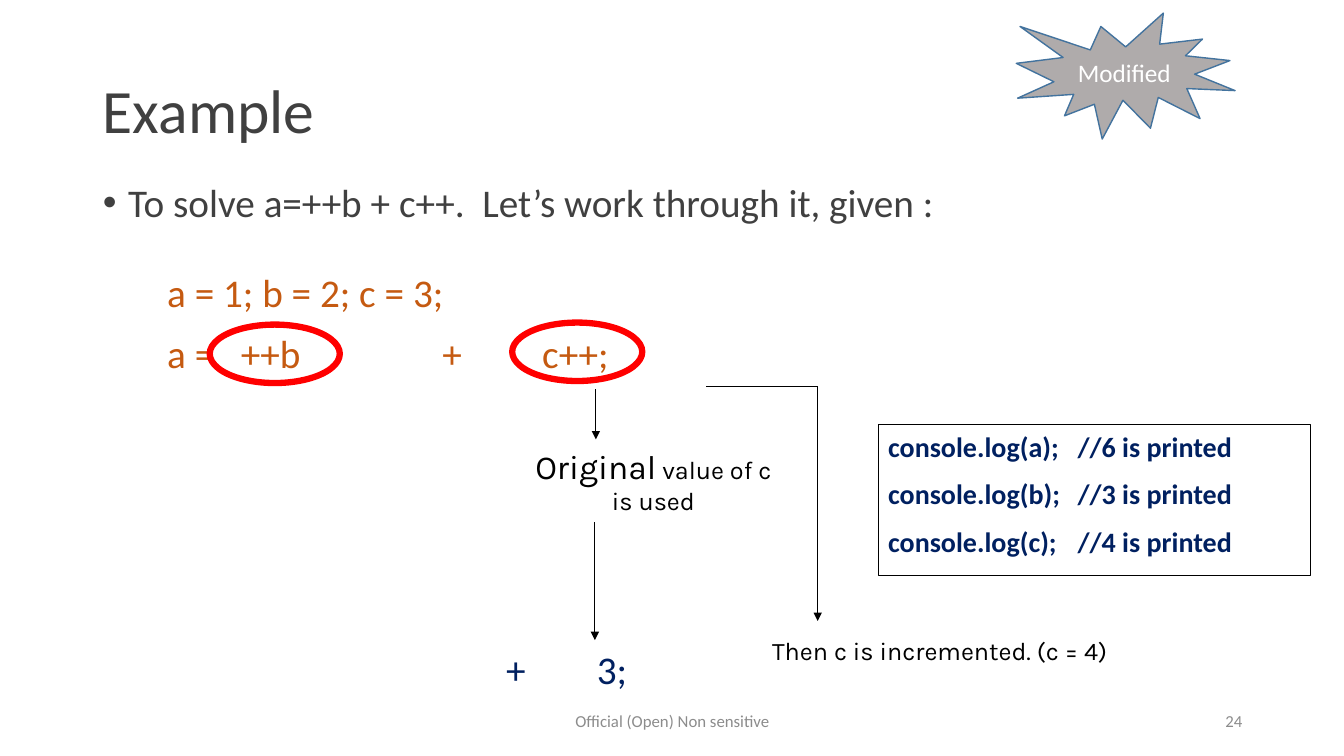
from dataclasses import dataclass

from lxml import etree
from pptx import Presentation, util as u
from pptx.dml.color import RGBColor
from pptx.enum import shapes, text
from pptx.oxml.ns import qn

GREY, FOOT, ORANGE, NAVY = "404040", "8C8C8C", "C55A11", "002060"
BLACK, WHITE, RED = "000000", "FFFFFF", "FF0000"
LEFT, CENTER, RIGHT = text.PP_ALIGN.LEFT, text.PP_ALIGN.CENTER, text.PP_ALIGN.RIGHT
TOP, MIDDLE = text.MSO_ANCHOR.TOP, text.MSO_ANCHOR.MIDDLE


@dataclass
class Style:
    size: float
    color: str
    font: str = "Calibri"
    bold: bool = False
    align: text.PP_ALIGN = LEFT
    anchor: text.MSO_ANCHOR = TOP
    tabs: tuple[float, ...] = ()


@dataclass
class Label:
    box: tuple[float, float, float, float]
    lines: list[str]
    style: Style
    inset: float = 0.1


@dataclass
class Line:
    start: tuple[float, float]
    end: tuple[float, float]
    arrow: bool = True


def rgb(code: str) -> RGBColor:
    return RGBColor.from_string(code)


def inches(values: tuple[float, ...]) -> list[u.Length]:
    return [u.Inches(v) for v in values]


def add_tabs(p, stops: tuple[float, ...]) -> None:
    tab_list = etree.SubElement(p._p.get_or_add_pPr(), qn("a:tabLst"))
    for stop in stops:
        etree.SubElement(tab_list, qn("a:tab"), pos=str(u.Inches(stop)), algn="l")


def write(tf, lines: list[str], style: Style) -> None:
    tf.word_wrap = True
    tf.auto_size = text.MSO_AUTO_SIZE.NONE
    tf.vertical_anchor = style.anchor
    tf.text = "\n".join(lines)
    for i, p in enumerate(tf.paragraphs):
        if style.tabs:
            add_tabs(p, style.tabs)
        p.alignment = style.align
        p.space_before = u.Pt(10 if i else 0)
        for r in p.runs:
            r.font.name = style.font
            r.font.size = u.Pt(style.size)
            r.font.bold = style.bold
            r.font.color.rgb = rgb(style.color)


def fill_placeholder(sp, label: Label) -> None:
    """Move a template placeholder and format its text."""
    sp.left, sp.top, sp.width, sp.height = inches(label.box)
    write(sp.text_frame, label.lines, label.style)
    for p in sp.text_frame.paragraphs:
        p.line_spacing = 0.9


def add_label(s, label: Label):
    sp = s.shapes.add_textbox(*inches(label.box))
    sp.text_frame.margin_left = u.Inches(label.inset)
    write(sp.text_frame, label.lines, label.style)
    return sp


def add_line(s, line: Line) -> None:
    sp = s.shapes.add_connector(shapes.MSO_CONNECTOR.STRAIGHT,
                                *inches(line.start + line.end))
    sp.line.color.rgb = rgb(BLACK)
    sp.line.width = u.Pt(0.75)
    if line.arrow:
        etree.SubElement(sp.line._get_or_add_ln(), qn("a:tailEnd"), type="triangle")
    etree.SubElement(sp._element.spPr, qn("a:effectLst"))


def add_shape(s, kind: shapes.MSO_SHAPE, box: tuple[float, float, float, float],
              line: str, width: float, fill: str | None = None):
    sp = s.shapes.add_shape(kind, *inches(box))
    sp.shadow.inherit = False
    if fill:
        sp.fill.solid()
        sp.fill.fore_color.rgb = rgb(fill)
    else:
        sp.fill.background()
    sp.line.color.rgb = rgb(line)
    sp.line.width = u.Pt(width)
    return sp


TITLE = Label((0.92, 0.4, 11.5, 1.45), ["Example"], Style(44, GREY, anchor=MIDDLE))
BODY = Label((0.92, 1.77, 11.5, 4.76),
             ["To solve a=++b + c++.  Let’s work through it, given :"], Style(28, GREY))
NOTE = Style(18, BLACK, "Karla")
ORIGINAL_VALUE = Label((5.14, 4.37, 2.68, 0.81), ["Original value of c is used"],
                       Style(18, BLACK, "Karla", align=CENTER))
LABELS = [
    Label((1.56, 2.61, 7.44, 1.58), ["a = 1; b = 2; c = 3;", "a =\t++b\t+\tc++;"],
          Style(28, ORANGE, tabs=(0.73, 2.73, 3.72))),
    Label((7.56, 6.25, 3.94, 0.4), ["Then c is incremented. (c = 4)"], NOTE),
    Label((4.83, 6.35, 2.54, 0.64), ["+\t3;"], Style(28, NAVY, tabs=(0.9,)), 0.19),
    Label((4.42, 6.95, 4.5, 0.4), ["Official (Open) Non sensitive"],
          Style(12, FOOT, align=CENTER, anchor=MIDDLE)),
    Label((9.42, 6.95, 3, 0.4), ["24"], Style(12, FOOT, align=RIGHT, anchor=MIDDLE)),
]
LINES = [
    Line((5.91, 3.86), (5.91, 4.36)),
    Line((5.9, 5.18), (5.9, 6.35)),
    Line((8.11, 3.83), (8.11, 6.16)),
    Line((8.11, 3.83), (7, 3.83), arrow=False),
]
OPERAND_RINGS = [(2.08, 3.22), (5.08, 3.2)]
RESULTS = {"a": 6, "b": 3, "c": 4}


def main() -> None:
    prs = Presentation()
    prs.slide_width, prs.slide_height = inches((13.33, 7.5))
    s = prs.slides.add_slide(prs.slide_layouts[1])

    fill_placeholder(s.shapes.title, TITLE)
    body = s.placeholders[1]
    fill_placeholder(body, BODY)
    pPr = body.text_frame.paragraphs[0]._p.get_or_add_pPr()
    pPr.set("marL", str(u.Inches(0.25)))
    pPr.set("indent", str(u.Inches(-0.25)))
    etree.SubElement(pPr, qn("a:buChar"), char="•")

    for label in LABELS:
        add_label(s, label)
    original = add_label(s, ORIGINAL_VALUE).text_frame.paragraphs[0]
    first, rest = original.runs[0], original.add_run()
    first.text, rest.text = "Original", " value of c is used"
    for r, size in ((first, 24), (rest, 18)):
        r.font.name = "Karla"
        r.font.size = u.Pt(size)
        r.font.color.rgb = rgb(BLACK)

    for line in LINES:
        add_line(s, line)

    output = add_shape(s, shapes.MSO_SHAPE.RECTANGLE, (8.71, 4.21, 4.29, 1.5), BLACK, 0.75)
    write(output.text_frame,
          [f"console.log({name});\t//{value} is printed" for name, value in RESULTS.items()],
          Style(20, NAVY, bold=True, tabs=(1.88,)))

    for corner in OPERAND_RINGS:
        add_shape(s, shapes.MSO_SHAPE.OVAL, corner + (1.29, 0.58), RED, 4.5)

    badge = add_shape(s, shapes.MSO_SHAPE.EXPLOSION1, (10.08, 0.13, 2.17, 1.25),
                      "43739E", 1, "AFABAB")
    write(badge.text_frame, ["Modified"], Style(18, WHITE, align=CENTER, anchor=MIDDLE))

    prs.save("out.pptx")


if __name__ == "__main__":
    main()
